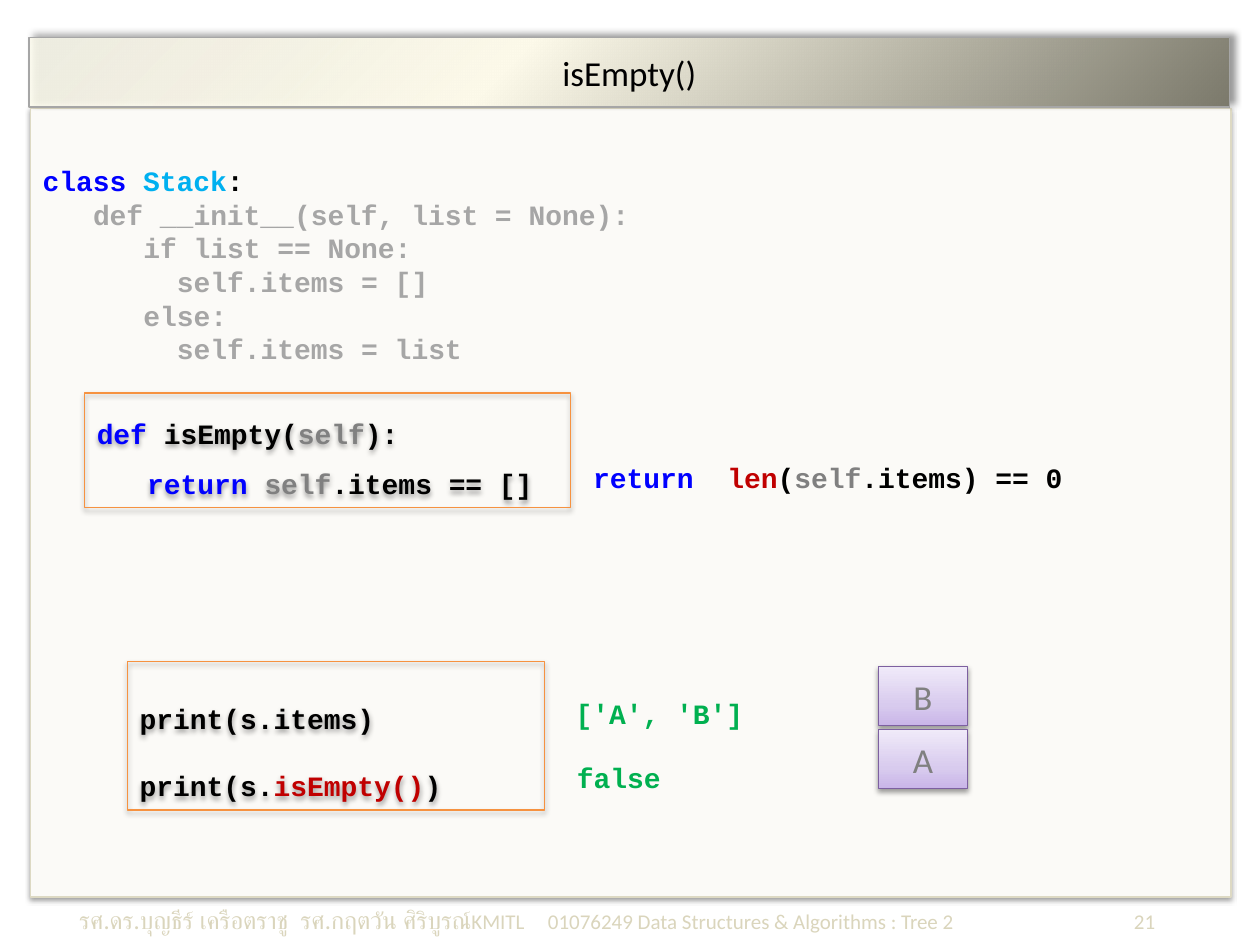
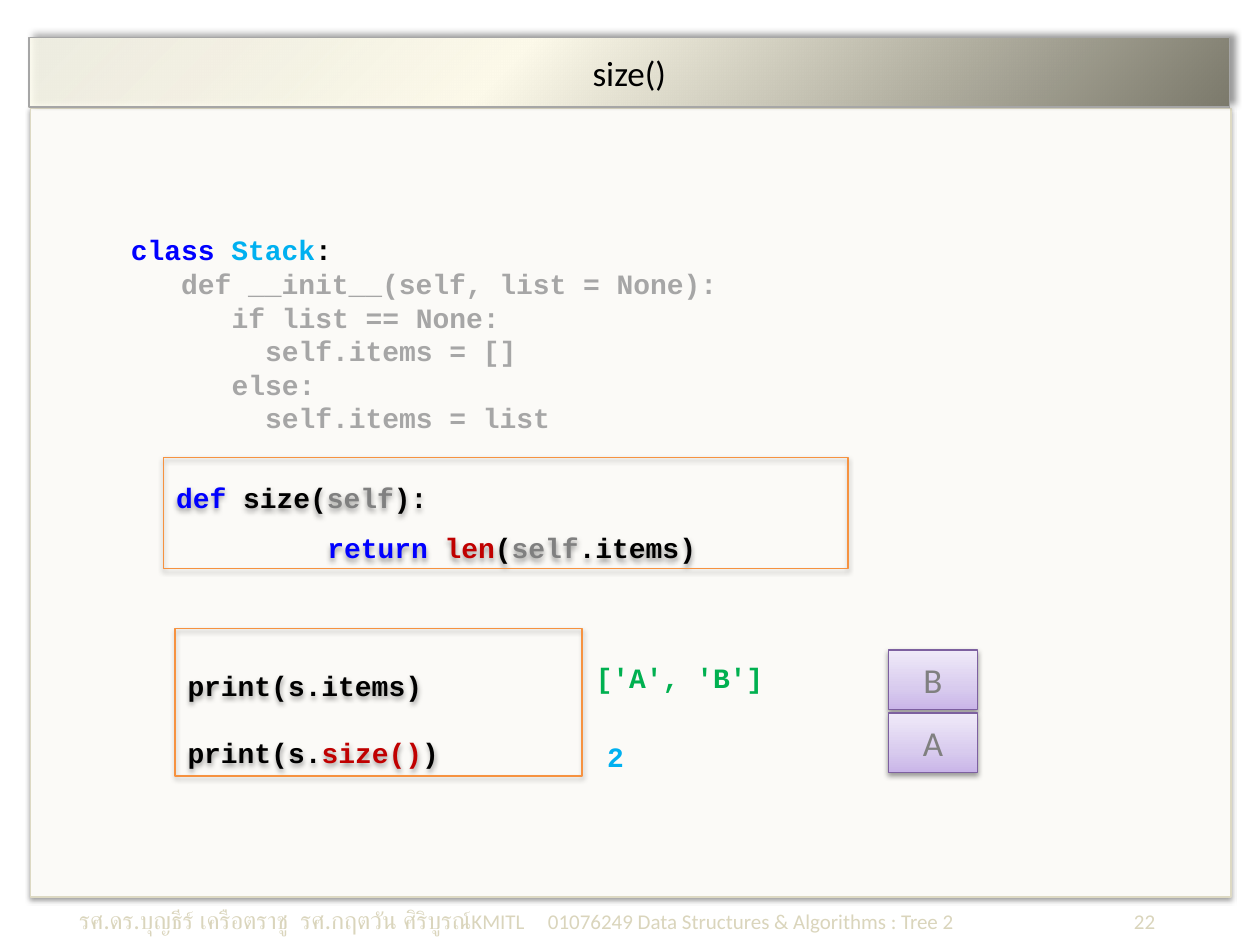
from dataclasses import dataclass
from typing import NamedTuple

from pptx import Presentation
from pptx.dml.color import RGBColor
from pptx.enum.shapes import MSO_SHAPE
from pptx.enum.text import MSO_ANCHOR, MSO_AUTO_SIZE, PP_ALIGN
from pptx.oxml import parse_xml
from pptx.oxml.ns import nsdecls, qn
from pptx.util import Emu, Pt

RECTANGLE = MSO_SHAPE.RECTANGLE
TOP, MIDDLE = MSO_ANCHOR.TOP, MSO_ANCHOR.MIDDLE
LEFT, CENTER = PP_ALIGN.LEFT, PP_ALIGN.CENTER
GROW, FIXED = MSO_AUTO_SIZE.SHAPE_TO_FIT_TEXT, MSO_AUTO_SIZE.NONE

PX = 9144  # 100 px to the inch
CODE_FONT, TEXT_FONT = "Courier New", "Calibri"
CODE_SIZE, LABEL_SIZE = 16, 20
CODE_CHAR = 0.6 * CODE_SIZE  # width of one monospaced character in points

COLORS = {
    "black": "000000",
    "keyword": "0000FF",
    "class": "00B0F0",
    "gray": "808080",
    "faded": "A6A6A6",
    "call": "C00000",
    "output": "00B050",
    "panel": "FBFAF7",
    "panel line": "DDD9C3",
    "footer": "DAD5BC",
    "frame": "F69240",
    "tile line": "7D60A0",
}


class Box(NamedTuple):
    left: int
    top: int
    width: int
    height: int


class Span(NamedTuple):
    text: str
    color: str = "black"
    size: int = CODE_SIZE
    font: str = CODE_FONT


class Line(NamedTuple):
    spans: list[Span]
    indent: int = 0  # in characters


class Stop(NamedTuple):
    position: int
    color: str
    alpha: int = 100


class Shadow(NamedTuple):
    alpha: int
    blur: float
    distance: float
    angle: int


class Output(NamedTuple):
    box: Box
    span: Span


@dataclass
class Lesson:
    number: int
    title: str
    listing: Box
    method_box: Box
    method: list[Line]
    calls_box: Box
    outputs: list[Output]
    stack: Box  # the top tile
    alternative: list[Span]


SOFT_SHADOW = Shadow(38, 3.1, 1.6, 90)
TITLE_SHADOW = Shadow(40, 4, 3, 315)
TITLE_STOPS = [Stop(0, "FEFCEE", 79), Stop(40, "FDFAEA"), Stop(100, "7B796B")]
TILE_STOPS = [Stop(0, "C9B5E8"), Stop(35, "D8CBEE"), Stop(100, "F0EAF9")]

PANEL_BOX = Box(24, 86, 953, 626)
TITLE_BOX = Box(23, 30, 953, 55)
FOOTER_BOX = Box(53, 711, 898, 37)
FOOTER_TABS = [(372, "l"), (854, "r")]
TILE_PITCH = 50
STACK_ITEMS = "BA"

CLASS_LINES = [
    Line([Span("class ", "keyword"), Span("Stack", "class"), Span(":")]),
    Line([Span("def __init__(self, list = None):", "faded")], 3),
    Line([Span("if list == None:", "faded")], 6),
    Line([Span("self.items = []", "faded")], 8),
    Line([Span("else:", "faded")], 6),
    Line([Span("self.items = list", "faded")], 8),
]


# ---- Shape formatting ----
def place(shape, box: Box) -> None:
    shape.left, shape.top, shape.width, shape.height = (Emu(n * PX) for n in box)


def set_line(shape, color: str) -> None:
    shape.line.color.rgb = RGBColor.from_string(color)
    shape.line.width = Pt(0.75)


def set_gradient(shape, stops: list[Stop], angle: int) -> None:
    shape.fill.background()
    stop_xml = "".join(
        f'<a:gs pos="{stop.position * 1000}"><a:srgbClr val="{stop.color}">'
        f'<a:alpha val="{stop.alpha * 1000}"/></a:srgbClr></a:gs>'
        for stop in stops
    )
    gradient = parse_xml(
        f'<a:gradFill {nsdecls("a")} rotWithShape="1"><a:gsLst>{stop_xml}</a:gsLst>'
        f'<a:lin ang="{angle * 60000}" scaled="0"/></a:gradFill>'
    )
    properties = shape.element.spPr
    properties.replace(properties.find(qn("a:noFill")), gradient)


def set_shadow(shape, shadow: Shadow) -> None:
    shape.shadow.inherit = False
    effects = shape.element.spPr.find(qn("a:effectLst"))
    effects.append(parse_xml(
        f'<a:outerShdw {nsdecls("a")} blurRad="{Pt(shadow.blur)}" '
        f'dist="{Pt(shadow.distance)}" dir="{shadow.angle * 60000}" rotWithShape="0">'
        f'<a:srgbClr val="{COLORS["black"]}"><a:alpha val="{shadow.alpha * 1000}"/>'
        "</a:srgbClr></a:outerShdw>"
    ))


def add_rectangle(page, box: Box, line_color: str):
    shape = page.shapes.add_shape(RECTANGLE, *(Emu(n * PX) for n in box))
    set_line(shape, COLORS[line_color])
    return shape


# ---- Text ----
def format_run(run, span: Span) -> None:
    run.font.name = span.font
    run.font.size = Pt(span.size)
    run.font.bold = span.font == CODE_FONT
    run.font.color.rgb = RGBColor.from_string(COLORS[span.color])


def add_spans(para, spans: list[Span]) -> None:
    for span in spans:
        run = para.add_run()
        run.text = span.text
        format_run(run, span)


def write_label(shape, text: str, color: str) -> None:
    frame = shape.text_frame
    frame.text = text
    frame.auto_size = FIXED
    frame.vertical_anchor = MIDDLE
    para = frame.paragraphs[0]
    para.alignment = CENTER
    format_run(para.runs[0], Span(text, color, LABEL_SIZE, TEXT_FONT))


def write_code(shape, lines: list[Line], spacing: float = 1.0, wrap: bool = True) -> None:
    frame = shape.text_frame
    frame.word_wrap = wrap
    frame.auto_size = GROW
    frame.vertical_anchor = TOP
    for index, line in enumerate(lines):
        para = frame.add_paragraph() if index else frame.paragraphs[0]
        para.alignment = LEFT
        para.line_spacing = spacing
        if line.indent:
            para._p.get_or_add_pPr().set("marL", str(Pt(line.indent * CODE_CHAR)))
        add_spans(para, line.spans)


def add_code(page, box: Box, lines: list[Line], wrap: bool = True) -> None:
    textbox = page.shapes.add_textbox(*(Emu(n * PX) for n in box))
    write_code(textbox, lines, wrap=wrap)


def add_framed_code(page, box: Box, lines: list[Line], spacing: float) -> None:
    frame = add_rectangle(page, box, "frame")
    frame.fill.background()
    set_shadow(frame, SOFT_SHADOW)
    write_code(frame, lines, spacing)


# ---- Shared slide parts ----
def add_title(page, text: str) -> None:
    title = page.shapes.title
    place(title, TITLE_BOX)
    set_gradient(title, TITLE_STOPS, 45)
    set_line(title, COLORS["faded"])
    set_shadow(title, TITLE_SHADOW)
    write_label(title, text, "black")


def add_panel(page) -> None:
    panel = add_rectangle(page, PANEL_BOX, "panel line")
    panel.fill.solid()
    panel.fill.fore_color.rgb = RGBColor.from_string(COLORS["panel"])
    set_shadow(panel, SOFT_SHADOW)
    page.shapes.title.element.addprevious(panel.element)  # behind the title


def add_footer(page, number: int) -> None:
    textbox = page.shapes.add_textbox(*(Emu(n * PX) for n in FOOTER_BOX))
    textbox.text_frame.word_wrap = True
    para = textbox.text_frame.paragraphs[0]
    tabs = "".join(f'<a:tab pos="{stop * PX}" algn="{side}"/>' for stop, side in FOOTER_TABS)
    para._p.get_or_add_pPr().append(
        parse_xml(f'<a:tabLst {nsdecls("a")}>{tabs}</a:tabLst>'))
    pieces = [
        ("รศ.ดร.บุญธีร์ เครือตราชู  รศ.กฤตวัน ศิริบูรณ์", 14),
        ("KMITL\t01076249 Data Structures & Algorithms : Tree 2", 12),
        ("\t", 16),
        (str(number), 12),
    ]
    add_spans(para, [Span(text, "footer", size, TEXT_FONT) for text, size in pieces])


def add_stack(page, top_tile: Box) -> None:
    for level, item in enumerate(STACK_ITEMS):
        box = top_tile._replace(top=top_tile.top + level * TILE_PITCH)
        tile = add_rectangle(page, box, "tile line")
        set_gradient(tile, TILE_STOPS, 270)
        set_shadow(tile, SOFT_SHADOW)
        write_label(tile, item, "gray")


def add_lesson(deck, lesson: Lesson) -> None:
    page = deck.slides.add_slide(deck.slide_layouts.get_by_name("Title Only"))
    add_title(page, lesson.title)
    add_panel(page)
    add_footer(page, lesson.number)
    add_code(page, lesson.listing, CLASS_LINES)
    add_framed_code(page, lesson.method_box, lesson.method, 1.5)
    calls = [
        Line([Span("print(s.items)")]),
        Line([Span("print(s."), Span(lesson.title, "call"), Span(")")]),
    ]
    add_framed_code(page, lesson.calls_box, calls, 2.0)
    for output in lesson.outputs:
        add_code(page, output.box, [Line([output.span])], wrap=False)
    if lesson.alternative:
        add_code(page, Box(461, 361, 398, 37), [Line(lesson.alternative)], wrap=False)
    add_stack(page, lesson.stack)


# ---- Slide content ----
def signature(name: str) -> Line:
    return Line([Span("def ", "keyword"), Span(f"{name}("), Span("self", "gray"), Span("):")])


ITEMS_OUTPUT = Span("['A', 'B']", "output")
LESSONS = [
    Lesson(
        21, "isEmpty()", Box(24, 125, 500, 172), Box(67, 312, 386, 91),
        [signature("isEmpty"),
         Line([Span("return ", "keyword"), Span("self", "gray"), Span(".items == []")], 3)],
        Box(101, 525, 331, 118),
        [Output(Box(447, 548, 155, 37), ITEMS_OUTPUT),
         Output(Box(448, 599, 88, 37), Span("false", "output"))],
        Box(697, 529, 71, 47),
        [Span("return  ", "keyword"), Span("len", "call"), Span("("),
         Span("self", "gray"), Span(".items) == 0")],
    ),
    Lesson(
        22, "size()", Box(94, 180, 500, 172), Box(130, 363, 543, 88),
        [signature("size"),
         Line([Span("return ", "keyword"), Span("len", "call"), Span("("),
               Span("self", "gray"), Span(".items)")], 9)],
        Box(139, 499, 323, 117),
        [Output(Box(463, 519, 155, 37), ITEMS_OUTPUT),
         Output(Box(472, 582, 34, 37), Span("2", "class"))],
        Box(705, 516, 71, 47),
        [],
    ),
]


def main() -> None:
    deck = Presentation()
    deck.slide_width, deck.slide_height = Emu(1000 * PX), Emu(750 * PX)
    for lesson in LESSONS:
        add_lesson(deck, lesson)
    deck.save("out.pptx")


if __name__ == "__main__":
    main()
